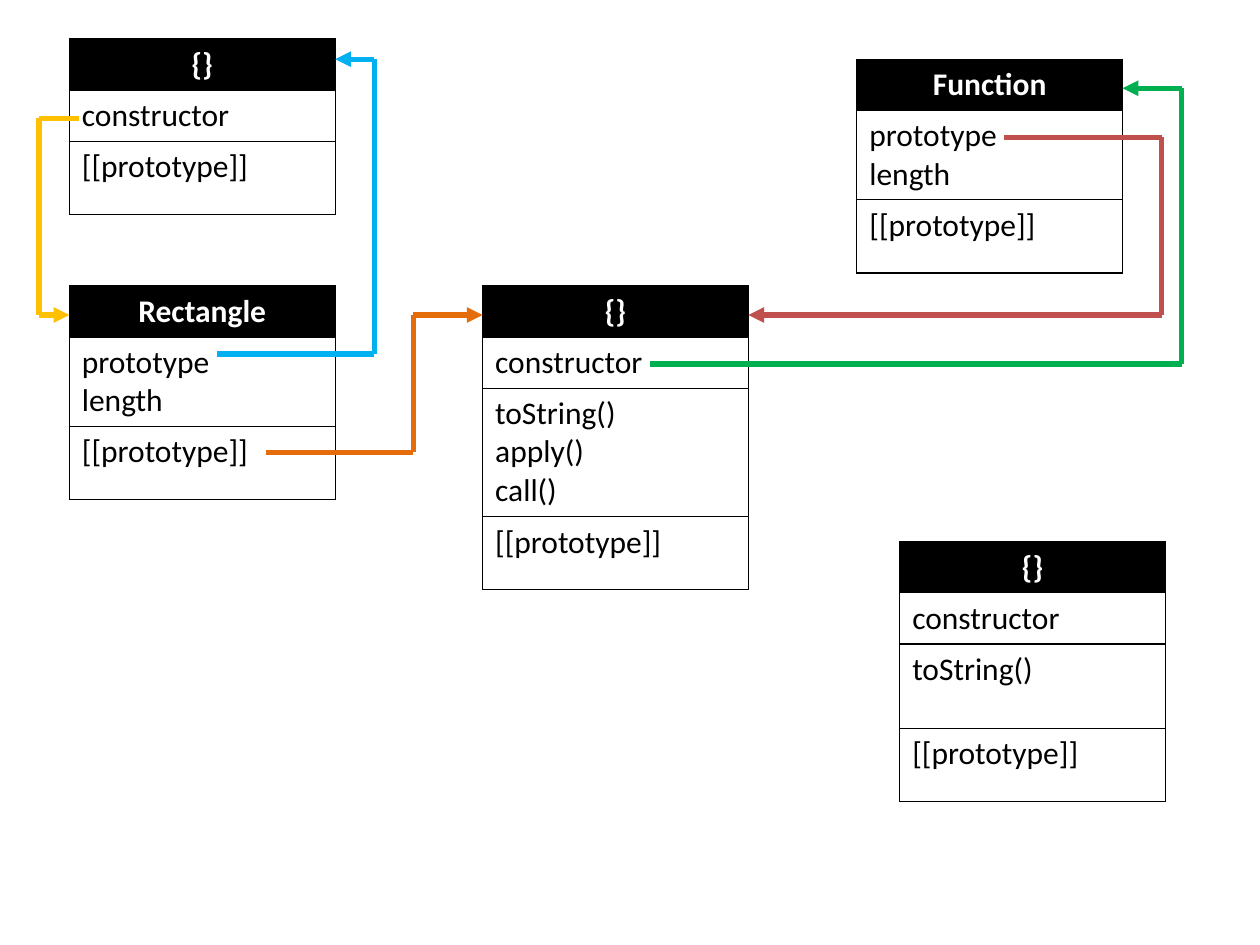
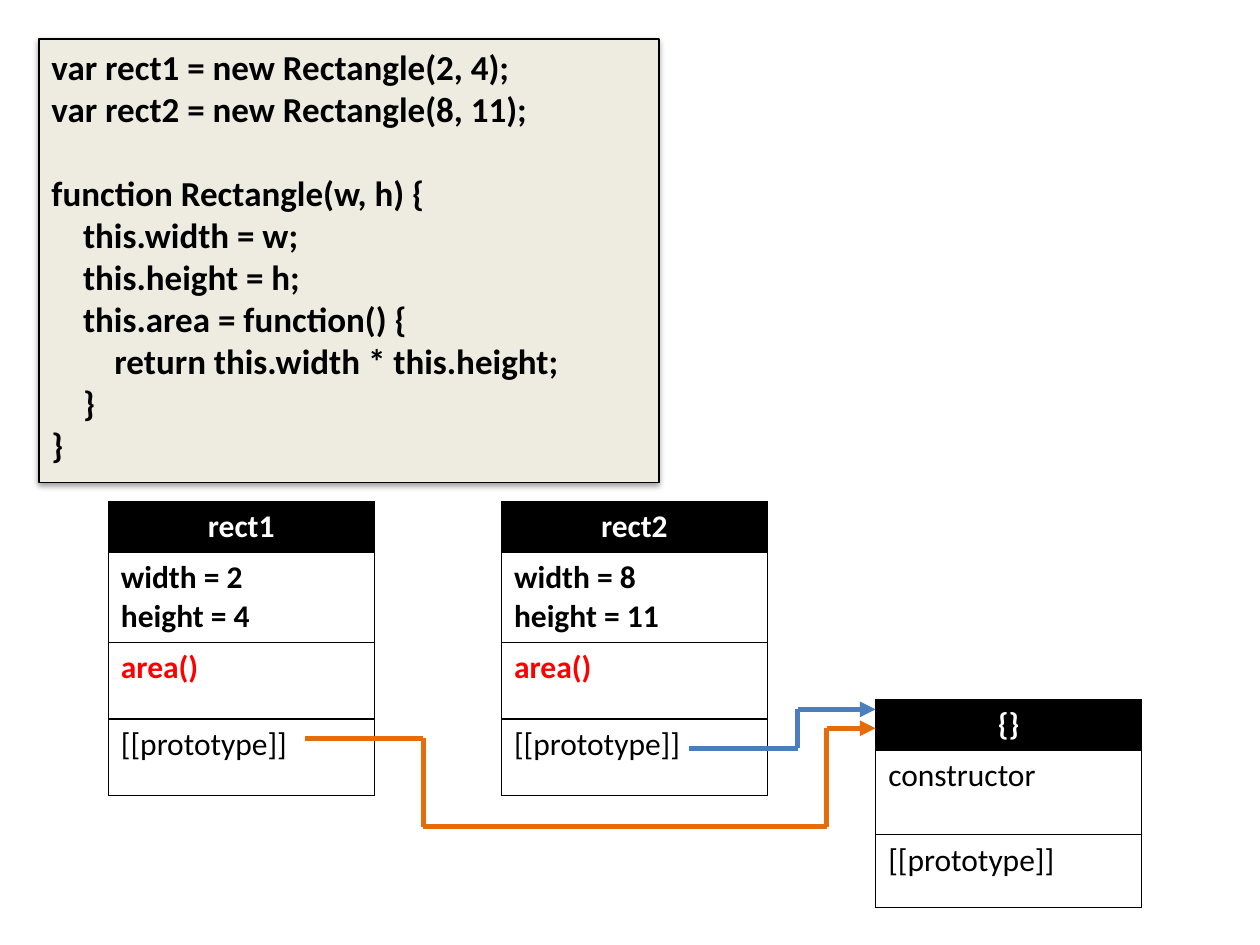
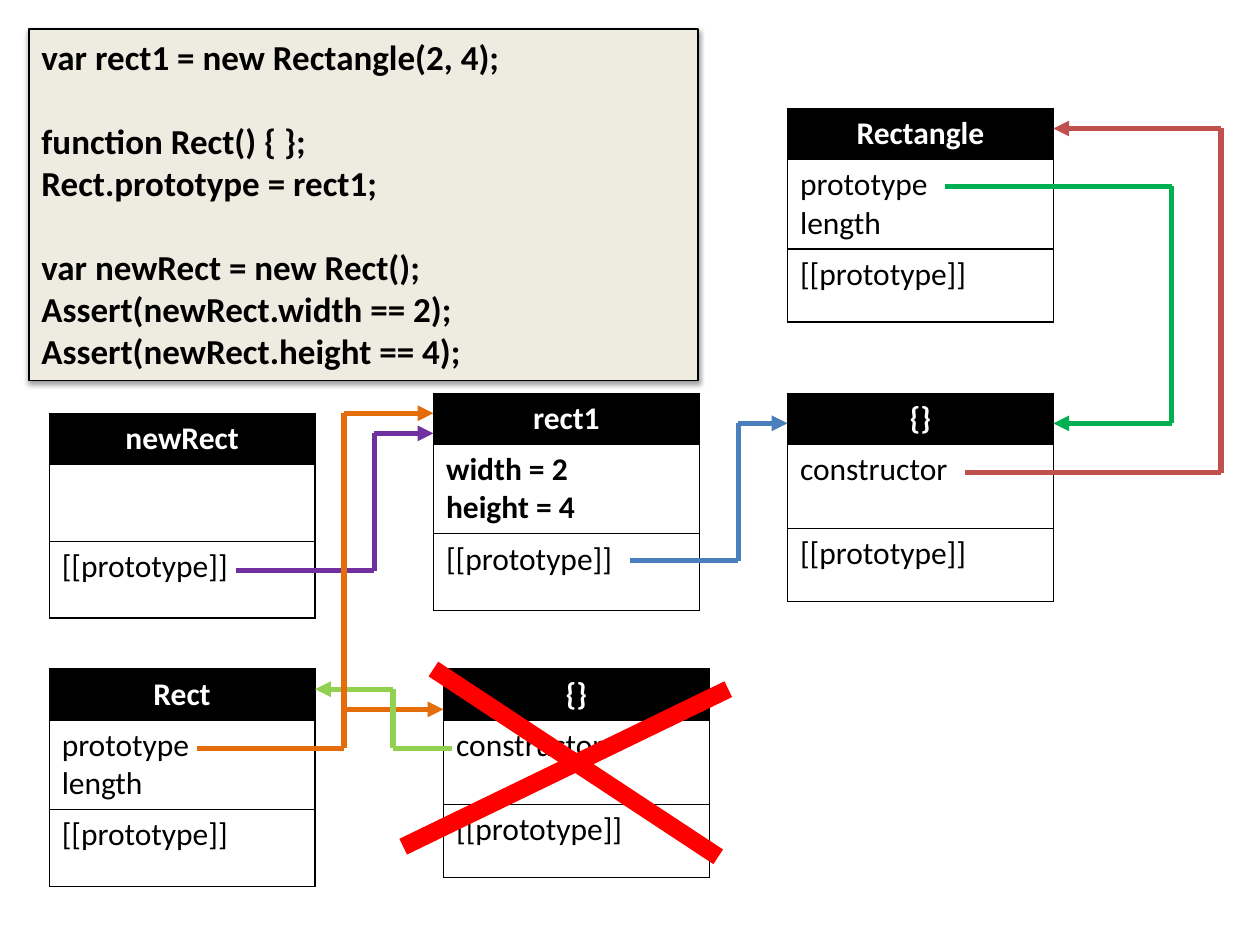
from lxml import etree
from pptx import Presentation
from pptx import util as u
from pptx.dml.color import RGBColor
from pptx.enum import shapes, text
from pptx.oxml.ns import qn

FONT = "Calibri"
BLACK, WHITE, RED = "000000", "FFFFFF", "FF0000"
CREAM, ORANGE, BLUE = "EEECE1", "E46C0A", "4B7EBC"
BRICK, GREEN, SKY = "C0504D", "00B050", "00B0F0"
YELLOW, PURPLE, LIME = "FFC000", "7030A0", "92D050"
TABLE_W = 2.11

PLAIN = {"name": FONT, "size": u.Pt(18), "bold": False}
BOLD = {**PLAIN, "bold": True}
CODE = {**BOLD, "size": u.Pt(20)}

PROTO = ("[[prototype]]", 0.58)
TALL_PROTO = ("[[prototype]]", 0.61)
FUNCTION_ROW = ("prototype\nlength", 0.7)
CONSTRUCTOR = ("constructor", 0.4)
TALL_CONSTRUCTOR = ("constructor", 0.67)
AREA = ("area()", 0.61, BOLD, RED)
RECT1_SIZE = ("width = 2\nheight = 4", 0.7, BOLD)
RECT2_SIZE = ("width = 8\nheight = 11", 0.7, BOLD)

SLIDES = [
    {
        "tables": [
            (0.55, 0.31, "{}", [CONSTRUCTOR, PROTO]),
            (0.55, 2.27, "Rectangle", [FUNCTION_ROW, PROTO]),
            (3.83, 2.27, "{}", [CONSTRUCTOR, ("toString()\napply()\ncall()", 1.02), PROTO]),
            (6.8, 0.47, "Function", [FUNCTION_ROW, PROTO]),
            (7.14, 4.3, "{}", [CONSTRUCTOR, ("toString()", 0.67), PROTO]),
        ],
        "arrows": [
            (BRICK, [(7.97, 1.09), (9.22, 1.09), (9.22, 2.5), (5.94, 2.5)]),
            (GREEN, [(5.16, 2.89), (9.38, 2.89), (9.38, 0.7), (8.91, 0.7)]),
            (ORANGE, [(2.11, 3.59), (3.28, 3.59), (3.28, 2.5), (3.83, 2.5)]),
            (SKY, [(1.72, 2.81), (2.97, 2.81), (2.97, 0.47), (2.66, 0.47)]),
            (YELLOW, [(0.63, 0.94), (0.31, 0.94), (0.31, 2.5), (0.55, 2.5)]),
        ],
    },
    {
        "code": (0.31, 0.31, 4.92, 3.52, """var rect1 = new Rectangle(2, 4);
var rect2 = new Rectangle(8, 11);

function Rectangle(w, h) {
    this.width = w;
    this.height = h;
    this.area = function() {
\treturn this.width * this.height;
    }
}"""),
        "tables": [
            (0.86, 3.98, "rect1", [RECT1_SIZE, AREA, TALL_PROTO]),
            (3.98, 3.98, "rect2", [RECT2_SIZE, AREA, TALL_PROTO]),
            (6.95, 5.55, "{}", [TALL_CONSTRUCTOR, PROTO]),
        ],
        "arrows": [
            (ORANGE, [(2.42, 5.86), (3.36, 5.86), (3.36, 6.56), (6.56, 6.56),
                      (6.56, 5.78), (6.95, 5.78)]),
            (BLUE, [(5.47, 5.94), (6.33, 5.94), (6.33, 5.63), (6.95, 5.63)]),
        ],
    },
    {
        "code": (0.23, 0.23, 5.31, 2.79, """var rect1 = new Rectangle(2, 4);

function Rect() { };
Rect.prototype = rect1;

var newRect = new Rect();
Assert(newRect.width == 2);
Assert(newRect.height == 4);"""),
        "tables": [
            (6.25, 0.86, "Rectangle", [FUNCTION_ROW, PROTO]),
            (3.44, 3.12, "rect1", [RECT1_SIZE, TALL_PROTO]),
            (6.25, 3.12, "{}", [TALL_CONSTRUCTOR, PROTO]),
            (0.39, 5.31, "Rect", [FUNCTION_ROW, TALL_PROTO]),
            (0.39, 3.28, "newRect", [("", 0.61), TALL_PROTO]),
            (3.52, 5.31, "{}", [TALL_CONSTRUCTOR, PROTO]),
        ],
        "arrows": [
            (GREEN, [(7.5, 1.48), (9.3, 1.48), (9.3, 3.36), (8.36, 3.36)]),
            (BLUE, [(5, 4.45), (5.86, 4.45), (5.86, 3.36), (6.25, 3.36)]),
            (BRICK, [(7.66, 3.75), (9.69, 3.75), (9.69, 1.02), (8.36, 1.02)]),
            (PURPLE, [(1.87, 4.53), (2.97, 4.53), (2.97, 3.44), (3.44, 3.44)]),
            (ORANGE, [(1.56, 5.94), (2.73, 5.94), (2.73, 5.63), (3.52, 5.63)]),
            (LIME, [(3.59, 5.94), (3.12, 5.94), (3.12, 5.47), (2.5, 5.47)]),
            (ORANGE, [(2.73, 5.94), (2.73, 3.28), (3.44, 3.28)]),
        ],
        "cross": [((3.44, 5.31), (5.7, 6.8)), ((3.2, 6.72), (5.78, 5.47))],
    },
]


def rgb(color):
    return RGBColor.from_string(color)


def add_xml(parent, tag, **attrs):
    return etree.SubElement(parent, qn(tag), **attrs)


def paint(fill, color):
    fill.solid()
    fill.fore_color.rgb = rgb(color)


def write(tf, content, style, color, align):
    for i, line in enumerate(content.split("\n")):
        p = tf.paragraphs[0] if i == 0 else tf.add_paragraph()
        p.alignment = align
        if not line:
            add_xml(p._p, "a:endParaRPr", sz=str(int(style["size"].pt * 100)))
            continue
        r = p.add_run()
        r.text = line
        for name, value in style.items():
            setattr(r.font, name, value)
        r.font.color.rgb = rgb(color)


def add_borders(cell):
    tcPr = cell._tc.get_or_add_tcPr()
    for side in "LRTB":
        ln = add_xml(tcPr, f"a:ln{side}", w=str(u.Pt(0.75)))
        add_xml(add_xml(ln, "a:solidFill"), "a:srgbClr", val=BLACK)


def add_object_table(s, x, y, title, rows):
    heights = [0.4] + [row[1] for row in rows]
    frame = s.shapes.add_table(len(heights), 1, u.Inches(x), u.Inches(y),
                               u.Inches(TABLE_W), u.Inches(sum(heights)))
    table = frame.table
    table.first_row = table.horz_banding = False
    for i, height in enumerate(heights):
        table.rows[i].height = u.Inches(height)
        cell = table.cell(i, 0)
        add_borders(cell)
        if i == 0:
            paint(cell.fill, BLACK)
            write(cell.text_frame, title, BOLD, WHITE, text.PP_ALIGN.CENTER)
        else:
            cell.fill.background()
            content, _, style, color = (*rows[i - 1], PLAIN, BLACK)[:4] if len(rows[i - 1]) == 2 \
                else (*rows[i - 1], BLACK)[:4]
            write(cell.text_frame, content, style, color, text.PP_ALIGN.LEFT)


def add_code(s, x, y, w, h, content):
    sp = s.shapes.add_shape(shapes.MSO_SHAPE.RECTANGLE, *map(u.Inches, (x, y, w, h)))
    paint(sp.fill, CREAM)
    paint(sp.line.fill, BLACK)
    sp.line.width = u.Pt(0.75)
    sp.shadow.inherit = False
    effects = sp._element.spPr.find(qn("a:effectLst"))
    shadow = add_xml(effects, "a:outerShdw", blurRad=str(u.Pt(3.1)), dist=str(u.Pt(1.6)),
                     dir="5400000", rotWithShape="0")
    add_xml(add_xml(shadow, "a:srgbClr", val=BLACK), "a:alpha", val="38000")
    tf = sp.text_frame
    tf.word_wrap = True
    tf.vertical_anchor = text.MSO_ANCHOR.TOP
    write(tf, content, CODE, BLACK, text.PP_ALIGN.LEFT)


def add_line(s, start, end, color, width=3, arrow=False):
    line = s.shapes.add_connector(shapes.MSO_CONNECTOR.STRAIGHT,
                                  *map(u.Inches, (*start, *end)))
    paint(line.line.fill, color)
    line.line.width = u.Pt(width)
    spPr = line._element.spPr
    if arrow:
        add_xml(spPr.find(qn("a:ln")), "a:tailEnd", type="triangle")
    add_xml(spPr, "a:effectLst")


def add_route(s, color, points):
    for start, end in zip(points, points[1:]):
        add_line(s, start, end, color, arrow=end == points[-1])


def main():
    prs = Presentation()
    prs.slide_width, prs.slide_height = u.Inches(10), u.Inches(7.5)
    for content in SLIDES:
        s = prs.slides.add_slide(prs.slide_layouts[6])
        if "code" in content:
            add_code(s, *content["code"])
        for table in content["tables"]:
            add_object_table(s, *table)
        for color, points in content["arrows"]:
            add_route(s, color, points)
        for start, end in content.get("cross", []):
            add_line(s, start, end, RED, width=10)
    prs.save("out.pptx")


if __name__ == "__main__":
    main()
